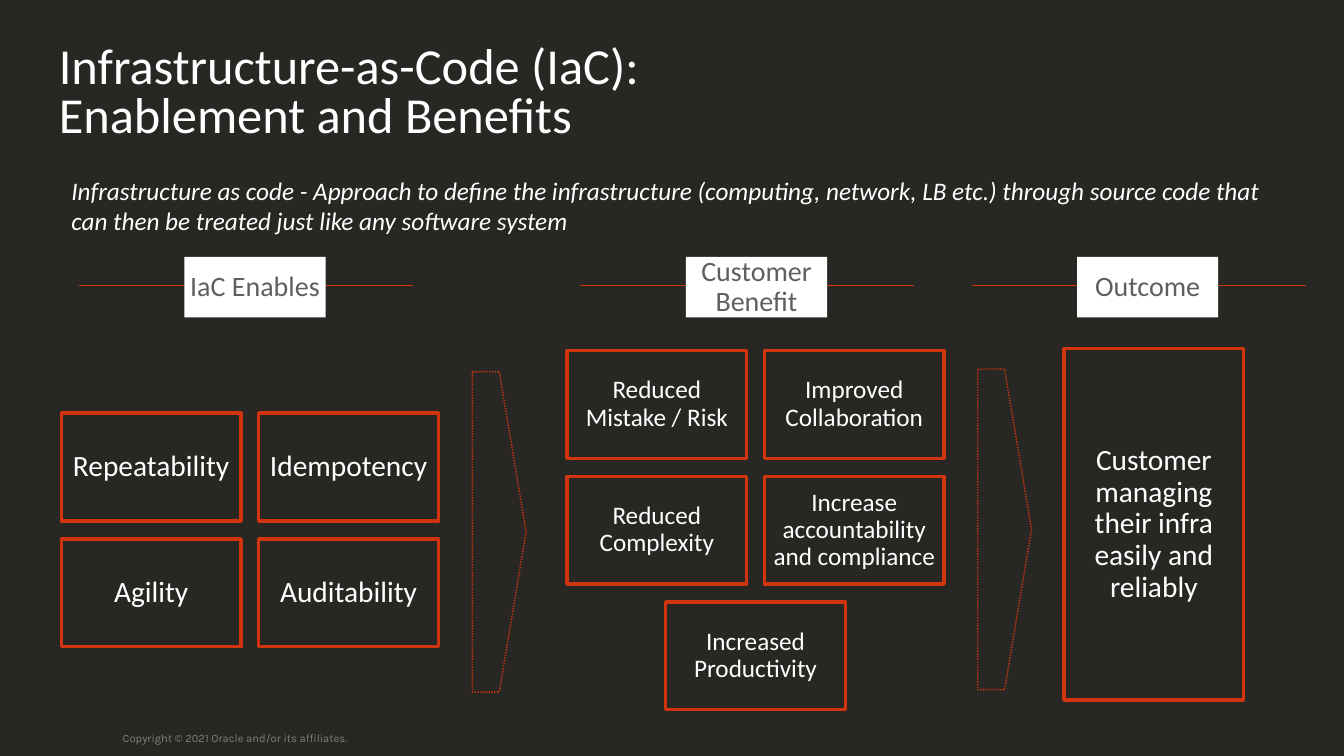
from pptx import Presentation
from pptx.dml.color import RGBColor
from pptx.enum.dml import MSO_LINE
from pptx.enum.shapes import MSO_CONNECTOR, MSO_SHAPE
from pptx.enum.text import MSO_ANCHOR, PP_ALIGN
from pptx.oxml.ns import qn
from pptx.util import Pt
from lxml import etree

RECT, ARROW = MSO_SHAPE.RECTANGLE, MSO_SHAPE.PENTAGON
LEFT, CENTER = PP_ALIGN.LEFT, PP_ALIGN.CENTER
TOP, MIDDLE = MSO_ANCHOR.TOP, MSO_ANCHOR.MIDDLE
STRAIGHT, DOTS = MSO_CONNECTOR.STRAIGHT, MSO_LINE.ROUND_DOT


class Theme:
    back = RGBColor.from_string("282723")
    red = RGBColor.from_string("D1350F")
    white = RGBColor.from_string("FFFFFF")
    gray = RGBColor.from_string("5F5F5F")
    faint = RGBColor.from_string("808080")
    font, small = "Calibri", "Karla"
    title, large, head, body, foot = 36, 21, 20, 18, 8


deck = Presentation()
deck.slide_width, deck.slide_height = Pt(960), Pt(540)
slide = deck.slides.add_slide(deck.slide_layouts[6])
slide.background.fill.solid()
slide.background.fill.fore_color.rgb = Theme.back
shapes = slide.shapes


def draw(kind, x, y, wide, high, fill=None, edge=None):
    """Add a shape with an optional fill and red edge."""
    shape = shapes.add_shape(kind, Pt(x), Pt(y), Pt(wide), Pt(high))
    shape.shadow.inherit = False
    if fill is None:
        shape.fill.background()
    else:
        shape.fill.solid()
        shape.fill.fore_color.rgb = fill
    if edge is None:
        shape.line.fill.background()
    else:
        shape.line.color.rgb = Theme.red
        shape.line.width = Pt(edge)
    return shape


def write(shape, text, size, color=Theme.white, pad=(0, 0), align=CENTER,
          anchor=MIDDLE, space=0.9, after=0, font=Theme.font):
    """Set the text of a shape and format it."""
    frame = shape.text_frame
    frame.word_wrap = True
    frame.vertical_anchor = anchor
    frame.margin_left = frame.margin_right = Pt(pad[0])
    frame.margin_top = frame.margin_bottom = Pt(pad[1])
    frame.text = text
    para = frame.paragraphs[0]
    para.alignment = align
    para.line_spacing = space
    para.space_after = Pt(after)
    run = para.runs[0].font
    run.name, run.size, run.color.rgb = font, Pt(size), color
    return run


# Title, definition and footer
title = shapes.add_textbox(Pt(42), Pt(32.4), Pt(525.6), Pt(70))
write(title, "Infrastructure-as-Code (IaC): Enablement and Benefits",
      Theme.title, align=LEFT, space=0.8)
intro = shapes.add_textbox(Pt(43.9), Pt(121.7), Pt(888.5), Pt(51))
write(intro, "Infrastructure as code - Approach to define the infrastructure "
      "(computing, network, LB etc.) through source code that can then be "
      "treated just like any software system",
      Theme.body, pad=(7.2, 3.6), align=LEFT, anchor=TOP, space=1).italic = True
foot = shapes.add_textbox(Pt(80.6), Pt(512.6), Pt(606), Pt(28.8))
write(foot, "Copyright © 2021 Oracle and/or its affiliates.", Theme.foot,
      Theme.faint, pad=(7.2, 3.6), align=LEFT, space=1, font=Theme.small)

# Column heads: a label centred on a thin rule
RULE, LABEL = 238.6, 100.8
for text, x in (("IaC Enables", 56.4), ("Customer Benefit", 414.6),
                ("Outcome", 694)):
    rule = shapes.add_connector(STRAIGHT, Pt(x), Pt(203.6),
                                Pt(x + RULE), Pt(203.6))
    rule.line.color.rgb = Theme.red
    rule.line.width = Pt(0.5)
    etree.SubElement(rule._element.spPr, qn("a:effectLst"))
    label = draw(RECT, x + (RULE - LABEL) / 2 + 6.5, 183.4, LABEL, 43.4,
                 fill=Theme.white)
    write(label, text, Theme.head, Theme.gray)

# Grids of boxes: left, top, type size, padding, space after, rows
WIDE, HIGH, STEP, DROP, EDGE = 128.4, 77, 141, 89.8, 2.5
grids = (
    (43.8, 295.2, Theme.large, 6.5, 7.3,
     (("Repeatability", "Idempotency"), ("Agility", "Auditability"))),
    (405, 250.4, Theme.body, 5.8, 6.3,
     (("Reduced Mistake / Risk", "Improved Collaboration"),
      ("Reduced Complexity", "Increase accountability and compliance"),
      ("Increased Productivity",))),
)
for left, top, size, pad, after, rows in grids:
    for r, row in enumerate(rows):
        start = left + (2 - len(row)) * STEP / 2
        for c, text in enumerate(row):
            box = draw(RECT, start + c * STEP, top + r * DROP, WIDE, HIGH,
                       edge=EDGE)
            write(box, text, size, pad=(pad, pad), after=after)

# Outcome
goal = draw(RECT, 760, 249, WIDE, 251, edge=EDGE)
write(goal, "Customer managing their infra easily and reliably", Theme.large,
      pad=(6.5, 6.5), after=7.3)

# Dotted arrows between the columns
for x, y in ((337.4, 265.4), (698.4, 263.6)):
    arrow = draw(ARROW, x, y, 38.4, 229, edge=1)
    arrow.adjustments[0] = 0.5
    arrow.line.dash_style = DOTS

deck.save("out.pptx")
